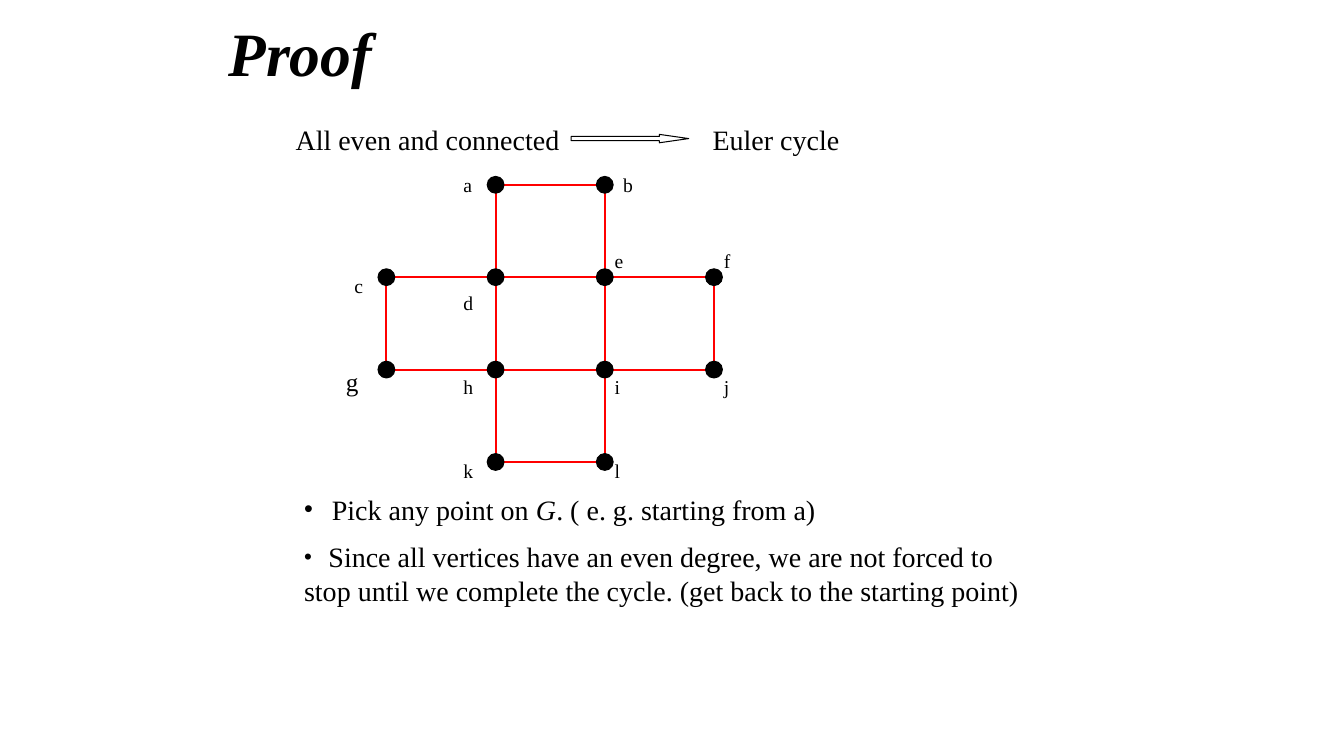
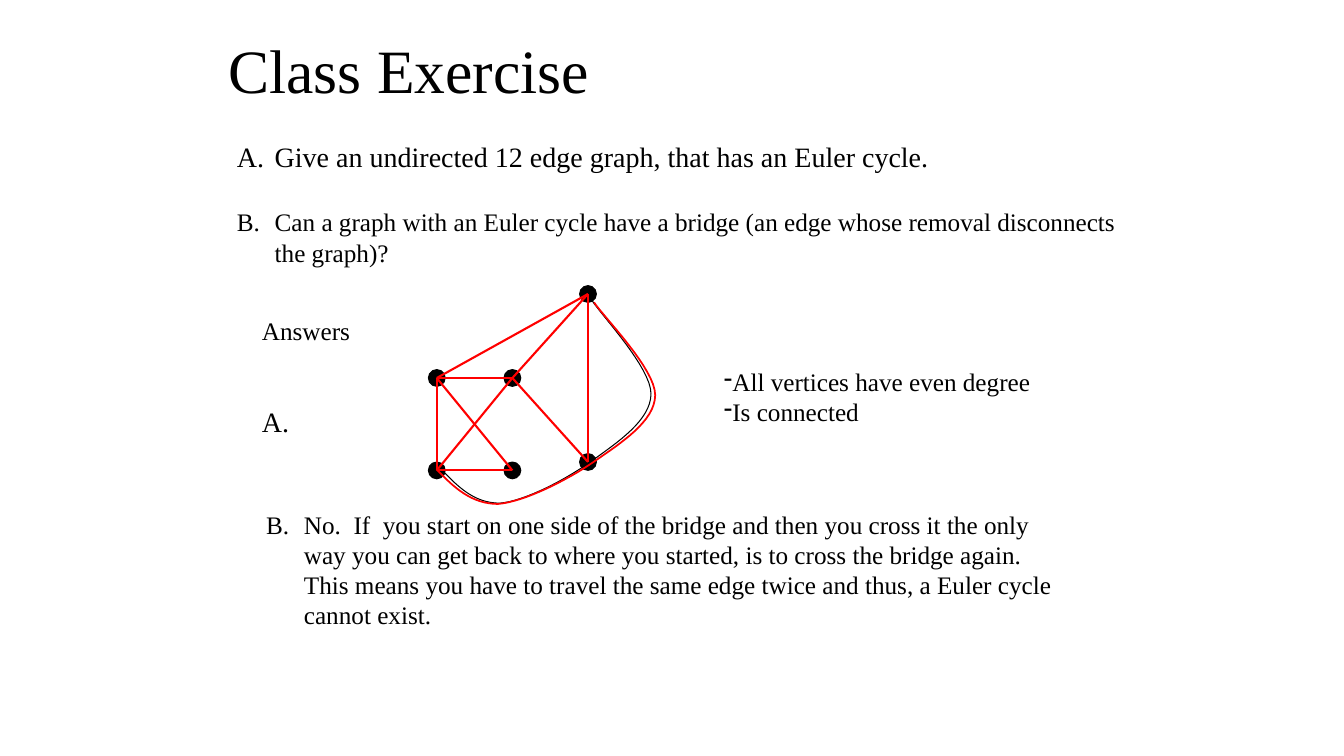
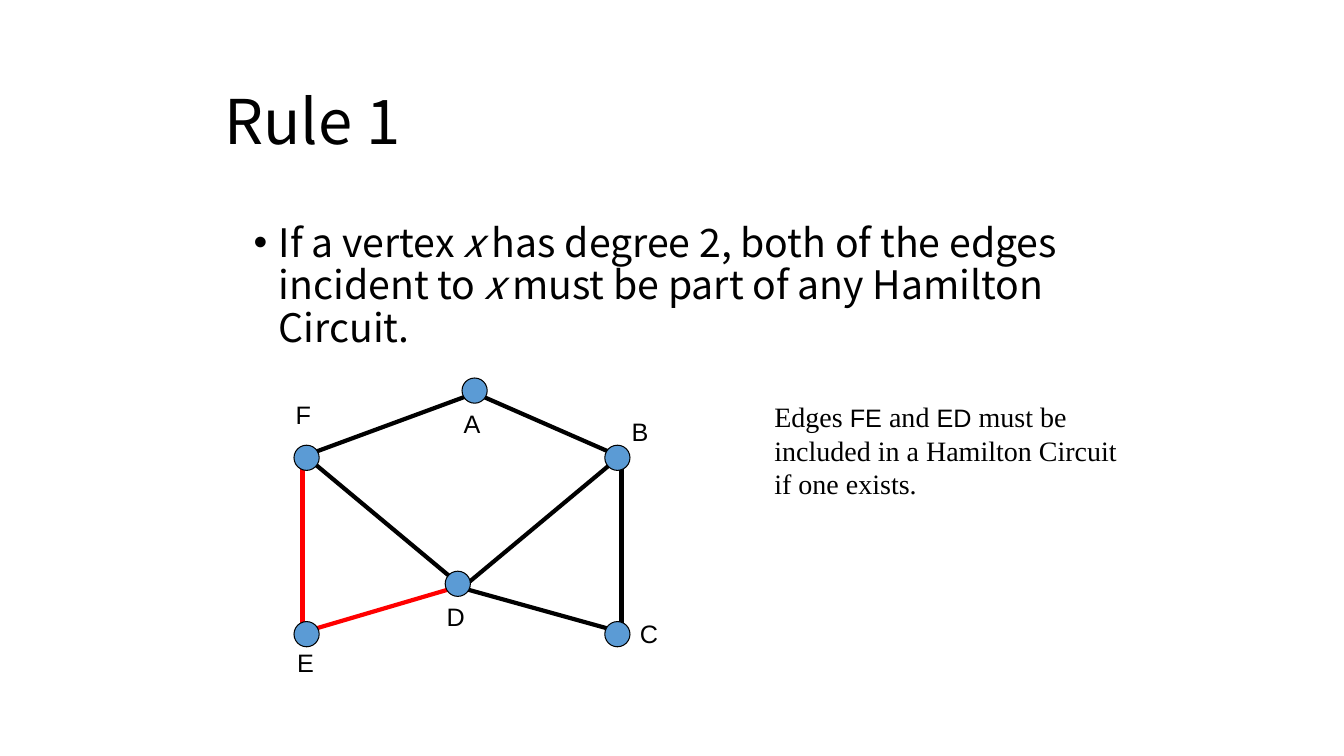
"""Build three slides on Euler cycles and Hamilton circuits."""
from dataclasses import dataclass

from lxml import etree
from pptx import Presentation
from pptx.dml.color import RGBColor
from pptx.enum.shapes import MSO_CONNECTOR, MSO_SHAPE
from pptx.enum.text import MSO_ANCHOR, MSO_AUTO_SIZE, PP_ALIGN
from pptx.oxml.ns import qn
from pptx.util import Emu, Pt

ELLIPSE, RIGHT_ARROW = MSO_SHAPE.OVAL, MSO_SHAPE.RIGHT_ARROW
STRAIGHT = MSO_CONNECTOR.STRAIGHT
TOP, MIDDLE = MSO_ANCHOR.TOP, MSO_ANCHOR.MIDDLE
LEFT = PP_ALIGN.LEFT
NO_AUTOFIT = MSO_AUTO_SIZE.NONE

COLORS = {"black": "000000", "white": "FFFFFF", "red": "FF0000", "blue": "5B9BD5"}
SERIF, SANS, LABEL = "Times New Roman", "Noto Sans CJK SC", "Arial"
COLUMNS, ROWS, CELL = 160, 90, 76200
TITLE_SIZE, THIN = 44, 0.75
DOT = ("buChar", {"char": "•"})
DASH = ("buChar", {"char": "-"})
LETTER_A = ("buAutoNum", {"type": "alphaUcPeriod"})
LETTER_B = ("buAutoNum", {"type": "alphaUcPeriod", "startAt": "2"})


@dataclass
class Run:
    text: str
    size: float = 20
    font: str = SERIF
    bold: bool = False
    italic: bool = False


@dataclass
class Paragraph:
    runs: list
    bullet: tuple = ("buNone", {})
    margin: float = 0
    indent: float = 0
    tab: float = 0
    before: float = 0
    spacing: float = 1.0


PROOF = {
    "title": ([26, 2, 108, 9.4], Run("Proof", TITLE_SIZE, bold=True, italic=True)),
    "body": ([35, 58, 89, 15.2], [
        Paragraph([Run("\t", 18), Run("Pick any point on "), Run("G", italic=True),
                   Run(". ( e. g. starting from a)")], DOT, tab=3.3),
        Paragraph([Run("\t", 16),
                   Run("Since all vertices have an even degree, we are not forced to stop "
                       "until we complete the cycle. (get back to the starting point)")],
                  DOT, tab=2.9, before=10),
    ]),
    "texts": [
        ([34, 14, 34, 5.2], [Paragraph([Run("All even and connected")])]),
        ([83.65, 14, 30, 5.2], [Paragraph([Run("Euler cycle")])]),
    ],
    "arrow": [68, 16, 14, 1],
    "graph": {"left": 46, "top": 22, "column": 13, "row": 11},
    "vertices": {"a": (1, 0), "b": (2, 0), "c": (0, 1), "d": (1, 1), "e": (2, 1),
                 "f": (3, 1), "g": (0, 2), "h": (1, 2), "i": (2, 2), "j": (3, 2),
                 "k": (1, 3), "l": (2, 3)},
    "edges": "ab ad be cd de ef cg dh ei fj gh hi ij hk il kl".split(),
    "labels": {"a": (54, 20), "b": (73, 20), "c": (41, 32), "d": (54, 34),
               "e": (72, 29), "f": (85, 29), "g": (40, 43), "h": (54, 44),
               "i": (72, 44), "j": (85, 44), "k": (54, 54), "l": (72, 54)},
    "label sizes": {"g": 18},
}

EXERCISE = {
    "title": ([26, 3.6, 108, 10.4], Run("Class Exercise", TITLE_SIZE)),
    "body": ([27, 16, 109, 16.4], [
        Paragraph([Run("Give an undirected 12 edge graph, that has an Euler cycle.")],
                  LETTER_A, 4.5, -4.5),
        Paragraph([Run("Can a graph with an Euler cycle have a bridge (an edge whose "
                       "removal disconnects the graph)?", 18)],
                  LETTER_A, 4.5, -4.5, before=24),
    ]),
    "texts": [
        ([30, 37, 14, 4.8], [Paragraph([Run("Answers", 18)])]),
        ([30, 47.6, 8, 5.2], [Paragraph([Run("A.")])]),
        ([85, 43, 39, 8.4], [Paragraph([Run(text, 18)], DASH, 1, -1) for text in
                             ("All vertices have even degree", "Is connected")]),
        ([29, 60, 100, 15.6], [Paragraph([Run(
            "No.  If  you start on one side of the bridge and then you cross it the only "
            "way you can get back to where you started, is to cross the bridge again.  "
            "This means you have to travel the same edge twice and thus, a Euler cycle "
            "cannot exist.", 18)], LETTER_B, 6, -4.5)]),
    ],
    "vertices": {"t": (70, 35), "l": (52, 45), "m": (61, 45),
                 "p": (52, 56), "q": (61, 56), "r": (70, 55)},
    "edges": "lm lp pq pm ql tl tm tr rm".split(),
    "curves": [([52.5, 35.8, 25, 24.1], "black", THIN), ([52, 36, 26, 24], "red", 1.25)],
}
CURVE_POINTS = [(0, 0.83), (0.08, 0.92), (0.16, 1), (0.28, 1), (0.4, 0.99), (0.6, 0.88),
                (0.72, 0.79), (0.84, 0.7), (1, 0.59), (1, 0.46), (1, 0.33),
                (0.77, 0.08), (0.72, 0)]

RULE = {
    "title": ([25.5, 7.3, 108, 15], Run("Rule 1", TITLE_SIZE, SANS)),
    "body": ([29, 26, 102, 19.1], [Paragraph([
        Run("If a vertex ", 28, SANS), Run("x", 28, SANS, italic=True),
        Run(" has degree 2, both of the edges incident to ", 28, SANS),
        Run("x", 28, SANS, italic=True),
        Run(" must be part of any Hamilton Circuit.", 28, SANS),
    ], DOT, 3, -3, spacing=0.9)]),
    "texts": [([91, 47, 46, 13.2], [Paragraph([
        Run("Edges "), Run("FE", 18, LABEL), Run(" and "), Run("ED", 18, LABEL),
        Run(" must be included in a Hamilton Circuit if one exists."),
    ])])],
    "vertices": {"A": (56.5, 46.5), "B": (73.5, 54.5), "C": (73.5, 75.5),
                 "D": (54.5, 69.5), "E": (36.5, 75.5), "F": (36.5, 54.5)},
    "labels": {"A": (54, 48), "B": (74, 49), "C": (75, 73),
               "D": (52, 71), "E": (34.2, 76.5), "F": (34, 47)},
    "edges": [((36, 54), (54, 69), "black"), ((57, 47), (73, 54), "black"),
              ((74, 55), (74, 75), "black"), ((55, 70), (73, 75), "black"),
              ((37, 75), (54, 70), "red"), ((36, 55), (36, 75), "red"),
              ((37, 54), (56, 47), "black"), ((55, 70), (73, 55), "black")],
}


def cells(*lengths):
    return [Emu(round(length * CELL)) for length in lengths]


def color(name):
    return RGBColor.from_string(COLORS[name])


def set_line(shape, name, width):
    shape.line.color.rgb = color(name)
    shape.line.width = Pt(width)


def write(shape, paragraphs, wrap=True, anchor=TOP):
    frame = shape.text_frame
    frame.word_wrap = wrap
    frame.auto_size = NO_AUTOFIT
    frame.vertical_anchor = anchor
    for index, item in enumerate(paragraphs):
        paragraph = frame.add_paragraph() if index else frame.paragraphs[0]
        properties = paragraph._p.get_or_add_pPr()
        properties.set("marL", str(round(item.margin * CELL)))
        properties.set("indent", str(round(item.indent * CELL)))
        tag, attributes = item.bullet
        etree.SubElement(properties, qn("a:" + tag), attributes)
        if item.tab:
            tabs = etree.SubElement(properties, qn("a:tabLst"))
            etree.SubElement(tabs, qn("a:tab"), pos=str(round(item.tab * CELL)), algn="l")
        paragraph.alignment = LEFT
        paragraph.line_spacing = item.spacing
        paragraph.space_before = Pt(item.before)
        for part in item.runs:
            run = paragraph.add_run()
            run.text = part.text
            run.font.size, run.font.name = Pt(part.size), part.font
            run.font.bold, run.font.italic = part.bold, part.italic
            run.font.color.rgb = color("black")


def add_text(slide, box, paragraphs, wrap=True):
    write(slide.shapes.add_textbox(*cells(*box)), paragraphs, wrap)


def add_shape(slide, kind, box, fill):
    shape = slide.shapes.add_shape(kind, *cells(*box))
    shape.shadow.inherit = False
    shape.fill.solid()
    shape.fill.fore_color.rgb = color(fill)
    set_line(shape, "black", THIN)
    return shape


def add_vertices(slide, centers, diameter, fill):
    for x, y in centers:
        box = [x - diameter / 2, y - diameter / 2, diameter, diameter]
        add_shape(slide, ELLIPSE, box, fill)


def add_edge(slide, start, end, name="red", width=1.5):
    edge = slide.shapes.add_connector(STRAIGHT, *cells(*start, *end))
    set_line(edge, name, width)
    etree.SubElement(edge._element.spPr, qn("a:effectLst"))


def add_labels(slide, labels, width, height, font, size, sizes):
    for text, (x, y) in labels.items():
        run = Run(text, sizes.get(text, size), font)
        add_text(slide, [x, y, width, height], [Paragraph([run])], wrap=False)


def bezier(points, steps=16):
    for first in range(0, len(points) - 1, 3):
        segment = points[first:first + 4]
        for step in range(1, steps + 1):
            t = step / steps
            weights = [(1 - t) ** 3, 3 * t * (1 - t) ** 2, 3 * t * t * (1 - t), t ** 3]
            yield tuple(sum(w * p[axis] for w, p in zip(weights, segment)) for axis in (0, 1))


def add_curve(slide, box, name, width):
    left, top, across, down = box
    outline = [cells(left + x * across, top + y * down)
               for x, y in [CURVE_POINTS[0], *bezier(CURVE_POINTS)]]
    builder = slide.shapes.build_freeform(*outline[0], scale=1.0)
    builder.add_line_segments(outline[1:], close=False)
    curve = builder.convert_to_shape()
    curve.shadow.inherit = False
    curve.fill.background()
    set_line(curve, name, width)


def add_slide(presentation, content):
    slide = presentation.slides.add_slide(presentation.slide_layouts[1])
    title_box, title_run = content["title"]
    body_box, body = content["body"]
    for shape, box, paragraphs, anchor in (
            (slide.shapes.title, title_box, [Paragraph([title_run], spacing=0.9)], MIDDLE),
            (slide.placeholders[1], body_box, body, TOP)):
        shape.left, shape.top, shape.width, shape.height = cells(*box)
        write(shape, paragraphs, anchor=anchor)
    for box, paragraphs in content["texts"]:
        add_text(slide, box, paragraphs)
    return slide


def build_proof(presentation):
    slide = add_slide(presentation, PROOF)
    arrow = add_shape(slide, RIGHT_ARROW, PROOF["arrow"], "white")
    arrow.adjustments[0], arrow.adjustments[1] = 0.5, 3.5
    graph = PROOF["graph"]
    vertices = {name: (graph["left"] + column * graph["column"],
                       graph["top"] + row * graph["row"])
                for name, (column, row) in PROOF["vertices"].items()}
    for start, end in PROOF["edges"]:
        add_edge(slide, vertices[start], vertices[end])
    add_vertices(slide, vertices.values(), 2, "black")
    add_labels(slide, PROOF["labels"], 5, 4, SERIF, 14, PROOF["label sizes"])


def build_exercise(presentation):
    slide = add_slide(presentation, EXERCISE)
    vertices = EXERCISE["vertices"]
    add_vertices(slide, vertices.values(), 2, "black")
    for curve in EXERCISE["curves"]:
        add_curve(slide, *curve)
    for start, end in EXERCISE["edges"]:
        add_edge(slide, vertices[start], vertices[end])


def build_rule(presentation):
    slide = add_slide(presentation, RULE)
    for start, end, name in RULE["edges"]:
        add_edge(slide, start, end, name, 3)
    add_labels(slide, RULE["labels"], 4.4, 4.8, LABEL, 18, {})
    add_vertices(slide, RULE["vertices"].values(), 3, "blue")


def main():
    presentation = Presentation()
    presentation.slide_width, presentation.slide_height = cells(COLUMNS, ROWS)
    for build in (build_proof, build_exercise, build_rule):
        build(presentation)
    presentation.save("out.pptx")


if __name__ == "__main__":
    main()
